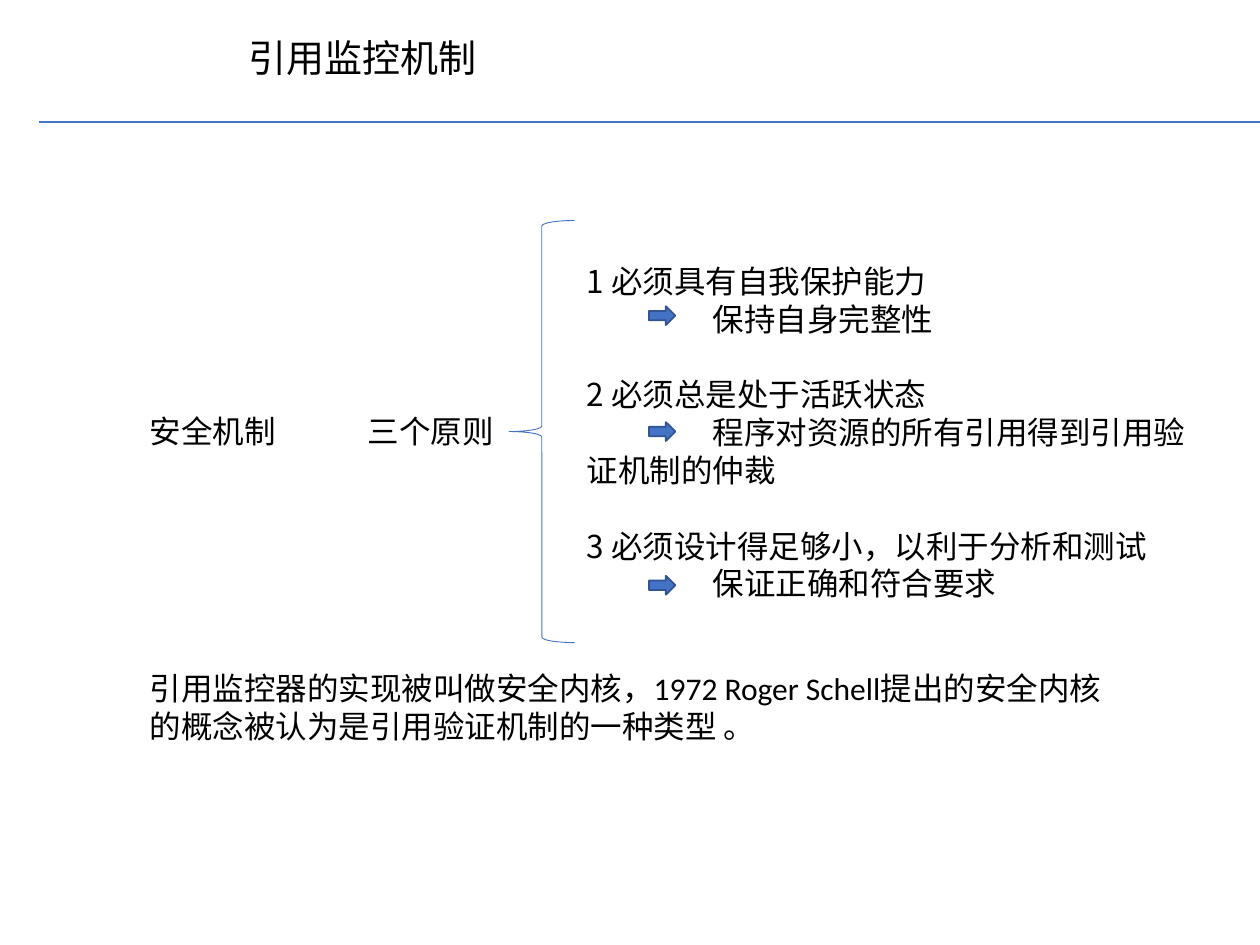
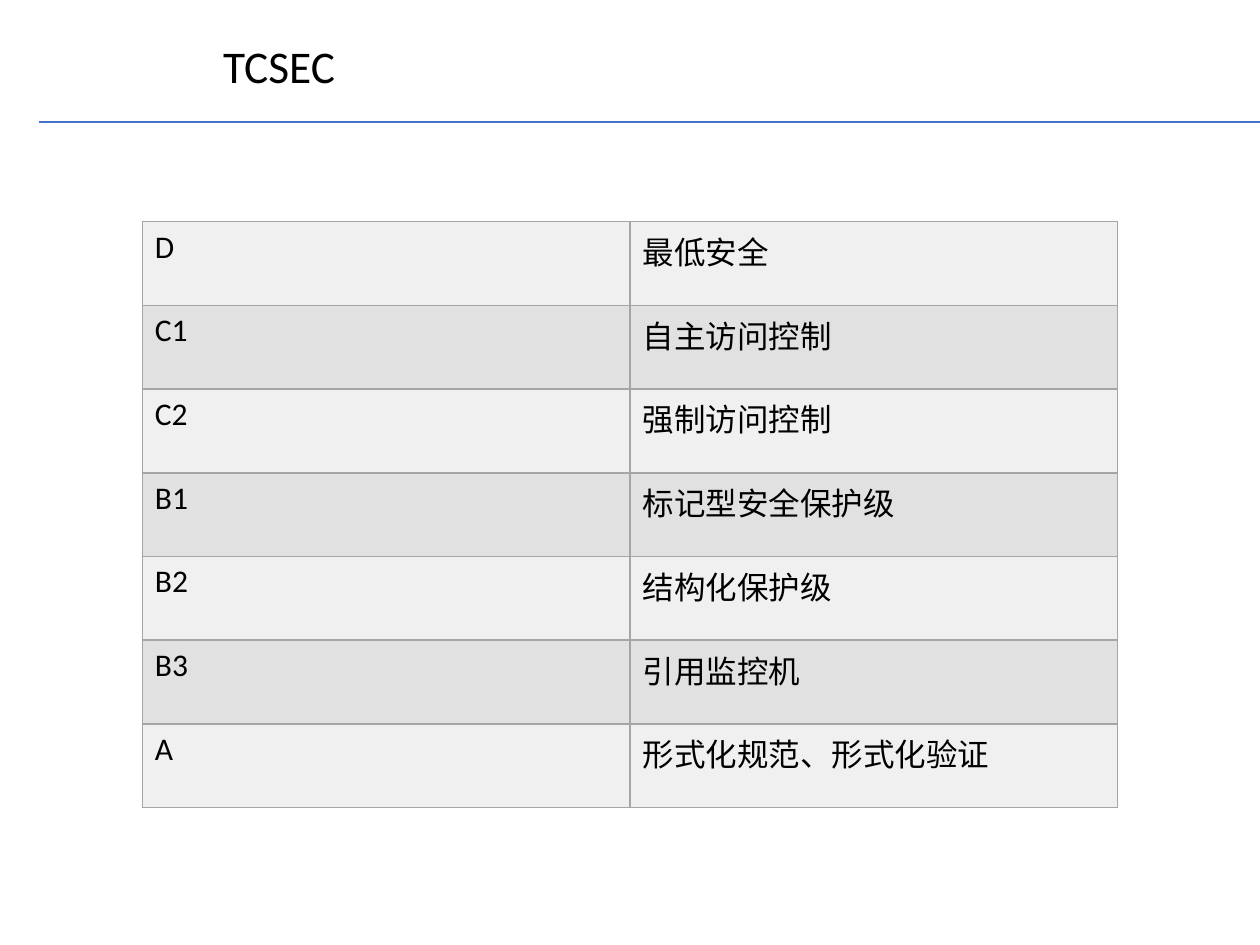
from dataclasses import dataclass

from lxml import etree
from pptx import Presentation
from pptx.dml.color import RGBColor as Rgb
from pptx.enum.shapes import MSO_CONNECTOR as Connector, MSO_SHAPE as Shape
from pptx.enum.text import MSO_ANCHOR as Anchor, MSO_AUTO_SIZE as AutoSize, PP_ALIGN as Align
from pptx.oxml.ns import qn
from pptx.util import Inches, Pt

# Content
MONITOR_TITLE = "引用监控机制"
MECHANISM = "安全机制"
THREE_PRINCIPLES = "三个原则"
PRINCIPLES = [  # principle, consequence, top of its arrow
    ("1 必须具有自我保护能力", "保持自身完整性", 2.43),
    ("2 必须总是处于活跃状态", "程序对资源的所有引用得到引用验证机制的仲裁", 3.35),
    ("3 必须设计得足够小，以利于分析和测试", "保证正确和符合要求", 4.57),
]
KERNEL_NOTE = "引用监控器的实现被叫做安全内核，1972 Roger Schell提出的安全内核的概念被认为是引用验证机制的一种类型 。"

TCSEC_TITLE = "TCSEC"
TCSEC_LEVELS = [
    ("D", "最低安全"),
    ("C1", "自主访问控制"),
    ("C2", "强制访问控制"),
    ("B1", "标记型安全保护级"),
    ("B2", "结构化保护级"),
    ("B3", "引用监控机"),
    ("A", "形式化规范、形式化验证"),
]


# Theme
@dataclass(frozen=True)
class Theme:
    text: Rgb = Rgb(0x00, 0x00, 0x00)
    accent: Rgb = Rgb(0x44, 0x72, 0xC4)
    accent_dark: Rgb = Rgb(0x32, 0x54, 0x91)
    grid: str = "A5A5A5"
    bands: tuple = (Rgb(0xF0, 0xF0, 0xF0), Rgb(0xE1, 0xE1, 0xE1))
    latin: str = "Calibri"
    cjk: str = "Noto Sans CJK SC"
    body_size: float = 18
    line_pitch: float = 21.6


THEME = Theme()


# Text helpers
def format_text(frame, size=THEME.body_size, latin=THEME.latin):
    for paragraph in frame.paragraphs:
        for run in paragraph.runs:
            run.font.size = Pt(size)
            run.font.name = latin
            run.font.color.rgb = THEME.text
            east_asian = etree.SubElement(run.font._element, qn("a:ea"))
            east_asian.set("typeface", THEME.cjk)


def add_text(slide, lines, left, top, width, height, latin=THEME.latin):
    frame = slide.shapes.add_textbox(*map(Inches, (left, top, width, height))).text_frame
    frame.word_wrap = True
    frame.text = "\n".join(lines)
    for paragraph in frame.paragraphs:
        paragraph.line_spacing = Pt(THEME.line_pitch)
    format_text(frame, latin=latin)
    return frame


def set_tab_stop(paragraph, position):
    stops = etree.SubElement(paragraph._p.get_or_add_pPr(), qn("a:tabLst"))
    etree.SubElement(stops, qn("a:tab"), pos=str(Inches(position)), algn="l")


# Shared slide frame: title and rule
def add_titled_slide(deck, heading, left, top, width, size, spacing, latin=THEME.latin):
    slide = deck.slides.add_slide(deck.slide_layouts[5])
    rule = slide.shapes.add_connector(
        Connector.STRAIGHT, Inches(0.31), Inches(0.97), deck.slide_width, Inches(0.97))
    rule.line.color.rgb = THEME.accent
    rule.line.width = Pt(1.5)
    etree.SubElement(rule._element.spPr, qn("a:effectLst"))

    title = slide.shapes.title
    title.left, title.top, title.width, title.height = map(Inches, (left, top, width, 0.48))
    frame = title.text_frame
    frame.text = heading
    frame.auto_size = AutoSize.NONE
    frame.vertical_anchor = Anchor.TOP
    frame.paragraphs[0].alignment = Align.LEFT
    frame.paragraphs[0].line_spacing = spacing
    format_text(frame, size, latin)
    return slide


# Slide 1: three principles in a brace
def build_monitor(deck):
    slide = add_titled_slide(deck, MONITOR_TITLE, 1.87, 0.32, 2.18, 21.7, 0.7, THEME.cjk)
    for label, left in ((MECHANISM, 1.09), (THREE_PRINCIPLES, 2.82)):
        add_text(slide, [label], left, 3.22, 1.27, 0.4)

    brace = slide.shapes.add_shape(
        Shape.LEFT_BRACE, Inches(4.04), Inches(1.75), Inches(0.52), Inches(3.35))
    brace.shadow.inherit = False
    brace.fill.background()
    brace.line.color.rgb = THEME.accent
    brace.line.width = Pt(0.5)

    lines = [line for principle, consequence, _ in PRINCIPLES
             for line in (principle, "\t" + consequence)]
    paragraphs = add_text(slide, lines, 4.56, 2.03, 5, 2.83, THEME.cjk).paragraphs
    for principle in paragraphs[2::2]:
        principle.space_before = Pt(THEME.line_pitch)
    for consequence in paragraphs[1::2]:
        set_tab_stop(consequence, 1)  # leaves room for the arrow

    for _, _, top in PRINCIPLES:
        arrow = slide.shapes.add_shape(
            Shape.RIGHT_ARROW, Inches(5.15), Inches(top), Inches(0.21), Inches(0.15))
        arrow.shadow.inherit = False
        arrow.fill.solid()
        arrow.fill.fore_color.rgb = THEME.accent
        arrow.line.color.rgb = THEME.accent_dark
        arrow.line.width = Pt(1)

    add_text(slide, [KERNEL_NOTE], 1.09, 5.26, 7.8, 0.71)


# Slide 2: table of security levels
def style_cell(cell, fill):
    format_text(cell.text_frame)
    properties = cell._tc.get_or_add_tcPr()
    for side in ("a:lnL", "a:lnR", "a:lnT", "a:lnB"):
        border = etree.SubElement(properties, qn(side), w=str(Pt(1)))
        stroke = etree.SubElement(border, qn("a:solidFill"))
        etree.SubElement(stroke, qn("a:srgbClr"), val=THEME.grid)
    cell.fill.solid()
    cell.fill.fore_color.rgb = fill


def build_tcsec(deck):
    slide = add_titled_slide(deck, TCSEC_TITLE, 1.67, 0.34, 1.2, 25.9, 0.8)
    levels = slide.shapes.add_table(
        len(TCSEC_LEVELS), 2, Inches(1.13), Inches(1.76), Inches(7.74), Inches(4.65)).table
    levels.first_row = False
    levels.horz_banding = False
    for row, level in enumerate(TCSEC_LEVELS):
        for column, text in enumerate(level):
            cell = levels.cell(row, column)
            cell.text = text
            style_cell(cell, THEME.bands[row % 2])


def main():
    deck = Presentation()
    deck.slide_width, deck.slide_height = Inches(10), Inches(7.5)
    build_monitor(deck)
    build_tcsec(deck)
    deck.save("out.pptx")


if __name__ == "__main__":
    main()
